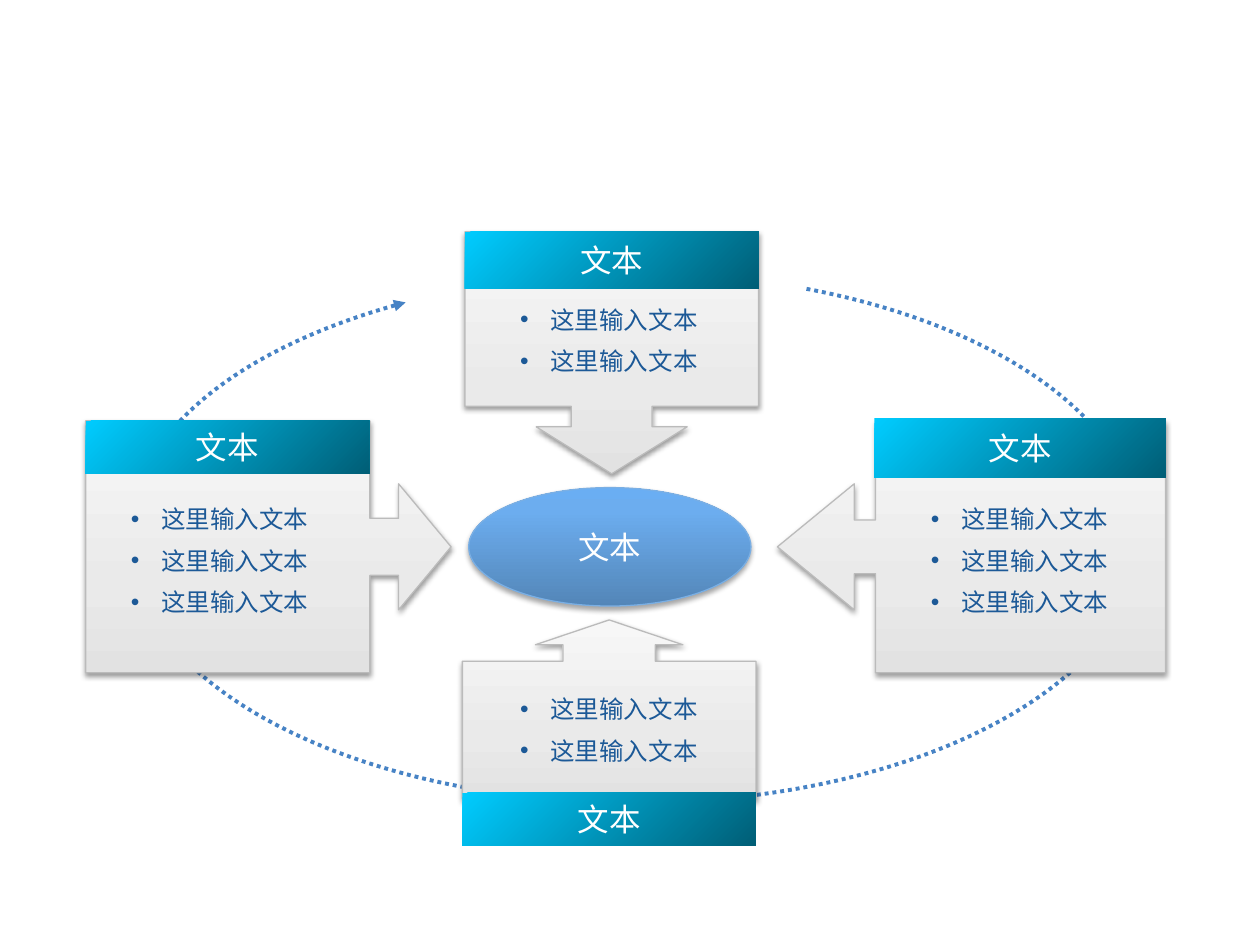
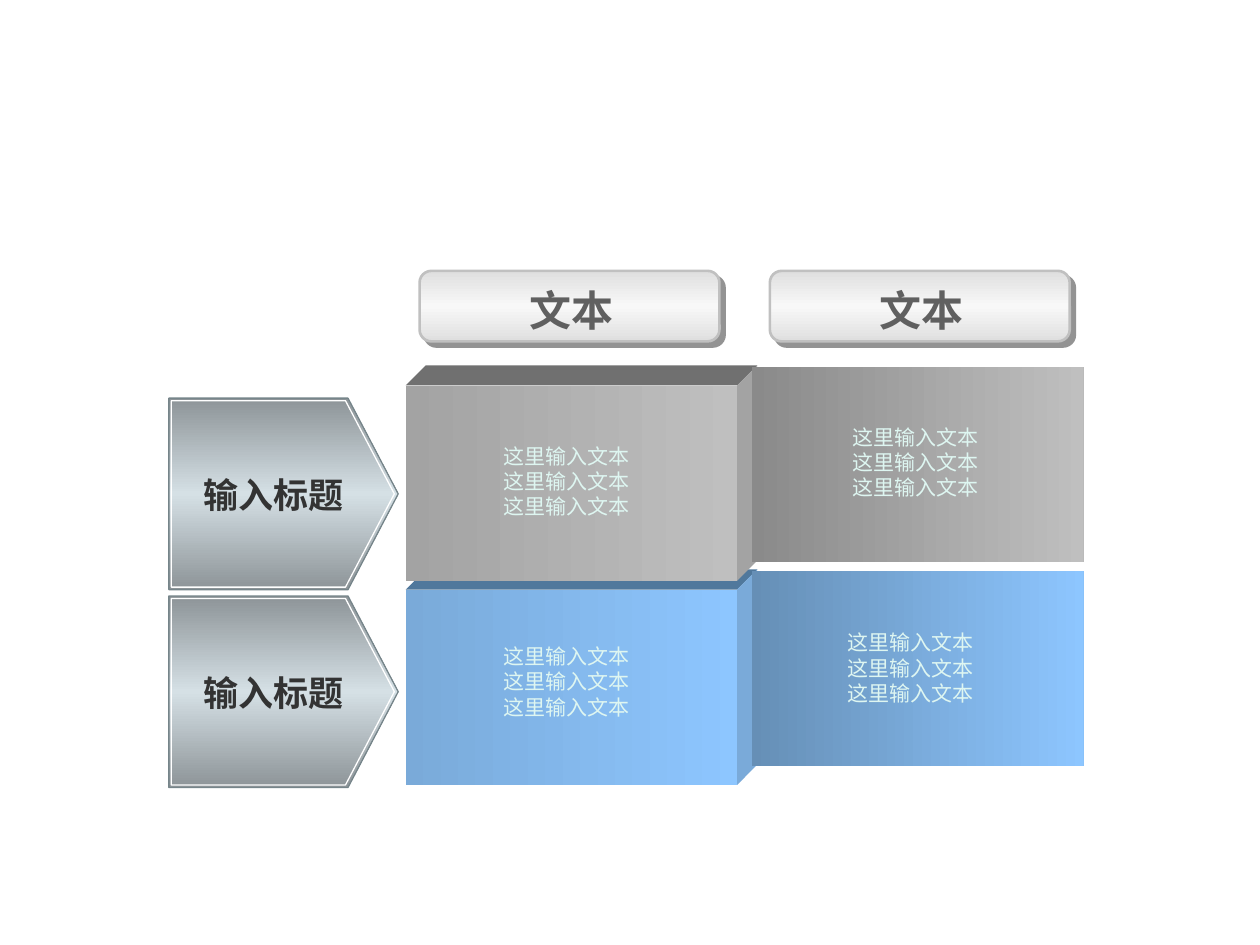
"""Build two diagram slides: a four-way callout cycle and a two-by-two panel matrix."""
import lxml.etree
import pptx
import pptx.dml.color
import pptx.enum.dml
import pptx.enum.shapes
import pptx.enum.text
import pptx.oxml.ns
import pptx.util

Inches = pptx.util.Inches
Pt = pptx.util.Pt
SHAPE = pptx.enum.shapes.MSO_SHAPE
ALIGN = pptx.enum.text.PP_ALIGN
ANCHOR = pptx.enum.text.MSO_ANCHOR
rgb = pptx.dml.color.RGBColor.from_string
qn = pptx.oxml.ns.qn

CALLOUT_GREY = [(0, "E2E2E2"), (35, "EAEAEA"), (100, "F7F7F7")]
HEADER_TEAL = [(0, "00CCFF"), (100, "005E76")]
ELLIPSE_BLUE = [(0, "5386B8"), (80, "6CADEF"), (100, "6AAEF3")]
TAG_STEEL = [(0, "8D9498"), (50, "D5E0E5"), (100, "8D9498")]
BUTTON_GREY = [(0, "DFDFDF"), (50, "F8F8F8"), (100, "DFDFDF")]
LABEL = "文本"
ENTRY = "这里输入文本"


def paint(shape, stops=(), angle=0, line=None, width=0.75, shadow=None):
    """Set gradient (or solid, or no) fill, outline and outer shadow."""
    shape.shadow.inherit = False
    if len(stops) > 1:
        shape.fill.gradient()
        shape.fill.gradient_angle = (360 - angle) % 360
        stop_list = shape.fill._xPr.find(qn("a:gradFill")).find(qn("a:gsLst"))
        for stop in list(stop_list):
            stop_list.remove(stop)
        for position, color in stops:
            stop = lxml.etree.SubElement(stop_list, qn("a:gs"), pos=str(position * 1000))
            lxml.etree.SubElement(stop, qn("a:srgbClr"), val=color)
    elif stops:
        shape.fill.solid()
        shape.fill.fore_color.rgb = rgb(stops[0][1])
    else:
        shape.fill.background()
    if line:
        shape.line.color.rgb = rgb(line)
        shape.line.width = Pt(width)
    else:
        shape.line.fill.background()
    if shadow:
        color, alpha, blur, distance, direction = shadow
        effects = shape._element.spPr.find(qn("a:effectLst"))
        outer = lxml.etree.SubElement(
            effects, qn("a:outerShdw"), blurRad=str(Pt(blur)), dist=str(Pt(distance)),
            dir=str(direction * 60000), algn="ctr", rotWithShape="0")
        shade = lxml.etree.SubElement(outer, qn("a:srgbClr"), val=color)
        lxml.etree.SubElement(shade, qn("a:alpha"), val=str(alpha * 1000))


def write(shape, lines, size, color, bold=False, bullet=False, wrap=True, font="Arial"):
    """Fill a shape with uniformly styled paragraphs."""
    frame = shape.text_frame
    frame.word_wrap = wrap
    frame.text = "\n".join(lines)
    for index, paragraph in enumerate(frame.paragraphs):
        paragraph.alignment = ALIGN.LEFT if bullet else ALIGN.CENTER
        if bullet:
            properties = paragraph._p.get_or_add_pPr()
            properties.set("marL", str(Inches(0.24)))
            properties.set("indent", str(Inches(-0.24)))
            lxml.etree.SubElement(properties, qn("a:buFont"), typeface="Arial")
            lxml.etree.SubElement(properties, qn("a:buChar"), char="•")
            if index:
                paragraph.space_before = Pt(7)
        paragraph.font.size = Pt(size)
        paragraph.font.name = font
        paragraph.font.bold = bold
        paragraph.font.color.rgb = rgb(color)


presentation = pptx.Presentation()
presentation.slide_width = Inches(10)
presentation.slide_height = Inches(7.5)
blank_layout = presentation.slide_layouts[6]

cycle = presentation.slides.add_slide(blank_layout).shapes
center = cycle.add_shape(SHAPE.OVAL, Inches(3.72), Inches(3.87), Inches(2.24), Inches(0.94))
paint(center, ELLIPSE_BLUE, 270, "7AAFE4", shadow=("000000", 35, 3.1, 1.8, 90))
write(center, [LABEL], 18, "FFFFFF", wrap=False, font="Noto Sans CJK KR")
center.text_frame.vertical_anchor = ANCHOR.MIDDLE

orbit_curves = [
    [(1.87, 2.76), (1.02, 3.48), (1.02, 4.27)],
    [(1.02, 5.43), (2.82, 6.37), (5.04, 6.37)],
    [(7.25, 6.37), (9.05, 5.43), (9.05, 4.27)],
    [(9.05, 3.38), (7.98, 2.59), (6.39, 2.29)],
]
builder = cycle.build_freeform(Inches(3.22), Inches(2.4))
builder.add_line_segments([tuple(map(Inches, curve[-1])) for curve in orbit_curves],
                          close=False)
orbit = builder.convert_to_shape()
for segment, curve in zip(list(orbit._element.iter(qn("a:lnTo"))), orbit_curves):
    bezier = lxml.etree.Element(qn("a:cubicBezTo"))
    for x, y in curve:
        lxml.etree.SubElement(bezier, qn("a:pt"), x=str(Inches(x) - orbit.left),
                              y=str(Inches(y) - orbit.top))
    segment.getparent().replace(segment, bezier)
paint(orbit, line="4783C5", width=2.25)
orbit.line.dash_style = pptx.enum.dml.MSO_LINE.ROUND_DOT
lxml.etree.SubElement(orbit.line._get_or_add_ln(), qn("a:headEnd"), type="triangle")

callouts = [
    (SHAPE.DOWN_ARROW_CALLOUT, (3.69, 1.84, 2.33, 1.92), (0.334, 0.312, 0.194, 0.721),
     (3.69, 1.84, 2.33, 0.45), (4.03, 2.37), 2),
    (SHAPE.RIGHT_ARROW_CALLOUT, (0.68, 3.34, 2.9, 2), (0.226, 0.25, 0.208, 0.778),
     (0.68, 3.34, 2.25, 0.42), (0.94, 3.95), 3),
    (SHAPE.LEFT_ARROW_CALLOUT, (6.17, 3.34, 3.08, 2), (0.213, 0.25, 0.305, 0.747),
     (6.94, 3.32, 2.31, 0.47), (7.29, 3.95), 3),
    (SHAPE.UP_ARROW_CALLOUT, (3.67, 4.92, 2.33, 1.42), (0.516, 0.412, 0.139, 0.769),
     (3.67, 6.29, 2.33, 0.42), (4.03, 5.46), 2),
]
for preset, box, adjustments, header_box, (left, top), count in callouts:
    callout = cycle.add_shape(preset, *map(Inches, box))
    for index, value in enumerate(adjustments):
        callout.adjustments[index] = value
    paint(callout, CALLOUT_GREY, 270, "BBBBBB", shadow=("000000", 38, 3.1, 1.6, 90))
    header = cycle.add_shape(SHAPE.RECTANGLE, *map(Inches, header_box))
    paint(header, HEADER_TEAL, 45)
    write(header, [LABEL], 18, "FFFFFF", wrap=False)
    header.text_frame.vertical_anchor = ANCHOR.MIDDLE
    bullets = cycle.add_textbox(Inches(left), Inches(top), Inches(1.64),
                                Inches(0.35 * count))
    write(bullets, [ENTRY] * count, 14, "1C5997", bullet=True)

matrix = presentation.slides.add_slide(blank_layout).shapes
for row in range(2):
    top = 3.16 + 1.57 * row
    for inset, stops, line in ((0, TAG_STEEL, "76858A"), (0.02, (), "FFFFFF")):
        tag = matrix.add_shape(SHAPE.PENTAGON, Inches(1.34 + inset), Inches(top + inset),
                               Inches(1.82 - 2.5 * inset), Inches(1.52 - 2 * inset))
        tag.adjustments[0] = 0.262
        paint(tag, stops, 90, line)
    title = matrix.add_textbox(Inches(1.26), Inches(top + 0.55), Inches(1.83), Inches(0.42))
    write(title, ["输入标题"], 20, "333333", bold=True)

panel_height, depth = 1.55, 0.16
columns = [
    (3.22, 3.06, 2.63, [("A3A3A3", "BFBFBF", 3.32, 3.47), ("7AAAD9", "8DC6FF", 3.32, 5.06)]),
    (5.97, 2.91, 2.63, [("8A8A8A", "BFBFBF", 6.09, 3.32), ("668FB6", "8DC6FF", 6.05, 4.95)]),
]
top_colors = ["707070", "50789C"]
for column, (left, first_top, width, panels) in enumerate(columns):
    button_left = 3.33 + 2.78 * column
    button = matrix.add_shape(SHAPE.ROUNDED_RECTANGLE, Inches(button_left), Inches(2.15),
                              Inches(2.38), Inches(0.56))
    paint(button, BUTTON_GREY, 90, "C0C0C0", 1.5, ("292929", 50, 0, 4.2, 45))
    caption = matrix.add_textbox(Inches(button_left + 0.09), Inches(2.21), Inches(2.23),
                                 Inches(0.48))
    write(caption, [LABEL], 24, "606060", bold=True)
    for row in (1, 0):
        dark, light, text_left, text_top = panels[row]
        top = first_top + 1.62 * row
        right, bottom = left + width, top + panel_height
        if column == 0:
            top_face = [(left, top), (left + depth, top - depth),
                        (right + depth, top - depth), (right, top)]
            side_face = [(right, top), (right + depth, top - depth),
                         (right + depth, bottom - depth), (right, bottom)]
            for corners, color in ((top_face, top_colors[row]), (side_face, dark)):
                points = [(Inches(x), Inches(y)) for x, y in corners]
                builder = matrix.build_freeform(*points[0])
                builder.add_line_segments(points[1:])
                paint(builder.convert_to_shape(), [(0, color)])
        panel = matrix.add_shape(SHAPE.RECTANGLE, Inches(left), Inches(top), Inches(width),
                                 Inches(panel_height))
        paint(panel, [(0, dark), (100, light)])
        entries = matrix.add_textbox(Inches(text_left), Inches(text_top), Inches(2.35),
                                     Inches(0.68))
        write(entries, [ENTRY] * 3, 12, "DEF6F1")

presentation.save("out.pptx")
